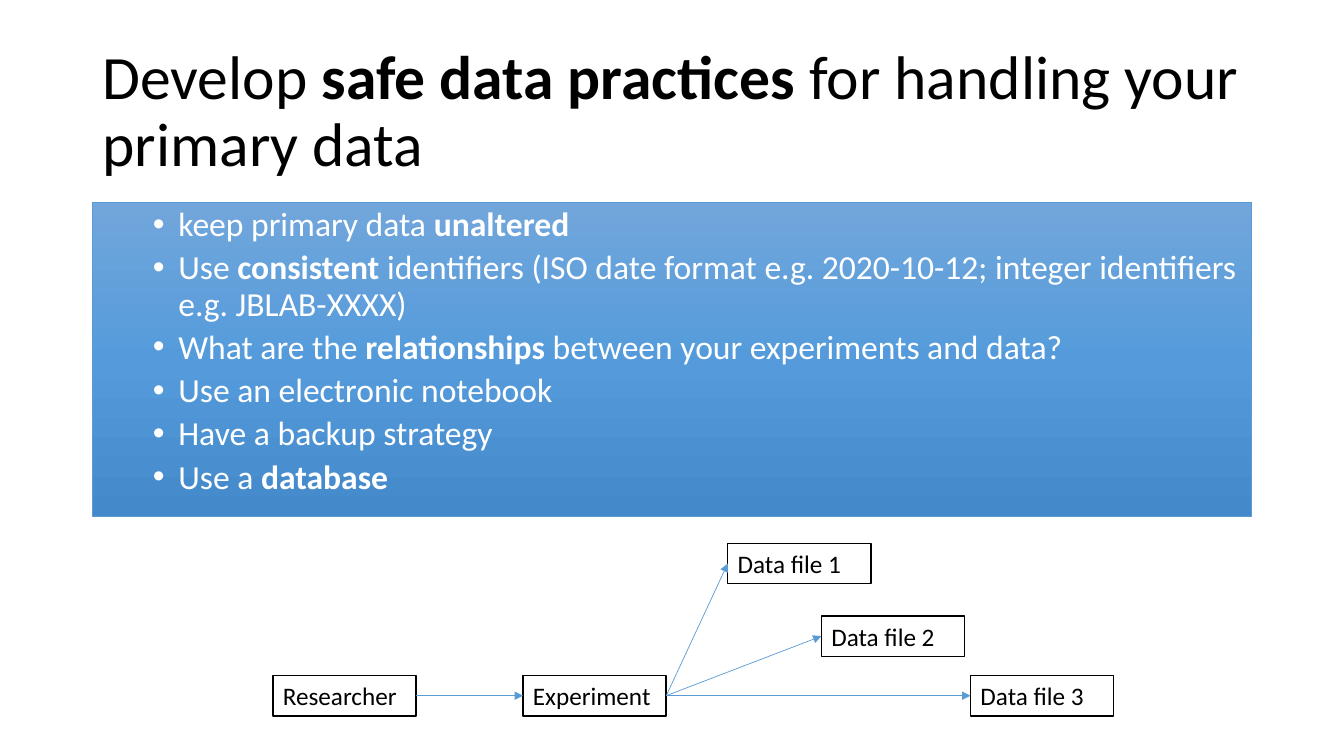
from copy import deepcopy

from lxml.etree import SubElement
from pptx import Presentation
from pptx.dml.color import RGBColor
from pptx.enum.shapes import MSO_CONNECTOR as Link, MSO_SHAPE as Preset
from pptx.enum.text import MSO_ANCHOR as Anchor, MSO_AUTO_SIZE as Fit, PP_ALIGN as Align
from pptx.oxml.ns import qn
from pptx.util import Cm, Pt

FONT = "Calibri"
BLACK, WHITE, BLUE = "000000", "FFFFFF", "5B9BD5"
GRADIENT = [(0, "71A6DB"), (0.5, "559BDB"), (1, "448ACA")]
RIGHT_SIDE, LEFT_SIDE = 3, 1

TITLE = [("Develop ", False), ("safe data practices ", True),
         ("for handling your primary data", False)]
PRACTICES = [
    [("keep primary data ", False), ("unaltered", True)],
    [("Use ", False), ("consistent", True),
     (" identifiers (ISO date format e.g. 2020-10-12; integer identifiers e.g. JBLAB-XXXX)", False)],
    [("What are the ", False), ("relationships", True),
     (" between your experiments and data?", False)],
    [("Use an electronic notebook", False)],
    [("Have a backup strategy", False)],
    [("Use a ", False), ("database", True)],
]
NODE_SIZE = (3.61, 1.02)
NODES = {
    "Researcher": (0, 3.33),
    "Experiment": (6.3, 3.33),
    "Data file 3": (17.58, 3.33),
    "Data file 2": (13.82, 1.83),
    "Data file 1": (11.46, 0),
}
ARROWS = [("Researcher", "Experiment"), ("Experiment", "Data file 1"),
          ("Experiment", "Data file 2"), ("Experiment", "Data file 3")]


def color(value):
    return RGBColor.from_string(value)


def place(shape, box):
    shape.left, shape.top, shape.width, shape.height = map(Cm, box)


def set_line(shape, value, width):
    shape.line.color.rgb = color(value)
    shape.line.width = Pt(width)


def add_spans(para, spans, size, value):
    for text, bold in spans:
        span = para.add_run()
        span.text = text
        span.font.name = FONT
        span.font.size = Pt(size)
        span.font.bold = bold
        span.font.color.rgb = color(value)


def fill_gradient(shape):
    shape.fill.gradient()
    shape.fill.gradient_angle = 270
    stop_list = shape.element.spPr.find(".//" + qn("a:gsLst"))
    stop_list.append(deepcopy(stop_list[-1]))
    for stop, (position, value) in zip(shape.fill.gradient_stops, GRADIENT):
        stop.position = position
        stop.color.rgb = color(value)


def set_bullet(para):
    props = para._p.get_or_add_pPr()
    props.set("marL", str(Cm(1.91)))
    props.set("indent", str(-Cm(0.64)))
    SubElement(props, qn("a:buFont"), typeface="Arial")
    SubElement(props, qn("a:buChar"), char="•")


def build_title(page, box):
    title = page.shapes.title
    place(title, box)
    frame = title.text_frame
    frame.auto_size = Fit.NONE
    frame.vertical_anchor = Anchor.MIDDLE
    para = frame.paragraphs[0]
    para.alignment = Align.LEFT
    para.line_spacing = 0.9
    add_spans(para, TITLE, 44, BLACK)


def build_practices(page, box):
    body = page.placeholders[1]
    place(body, box)
    fill_gradient(body)
    set_line(body, BLUE, 0.5)
    frame = body.text_frame
    frame.auto_size = Fit.NONE
    for index, spans in enumerate(PRACTICES):
        para = frame.add_paragraph() if index else frame.paragraphs[0]
        para.level = 1
        para.line_spacing = 0.9
        para.space_before = Pt(5)
        set_bullet(para)
        add_spans(para, spans, 24, WHITE)


def add_node(page, label, box):
    node = page.shapes.add_shape(Preset.RECTANGLE, *map(Cm, box))
    node.shadow.inherit = False
    node.fill.solid()
    node.fill.fore_color.rgb = color(WHITE)
    set_line(node, BLACK, 1)
    frame = node.text_frame
    frame.word_wrap = True
    frame.auto_size = Fit.SHAPE_TO_FIT_TEXT
    frame.vertical_anchor = Anchor.TOP
    para = frame.paragraphs[0]
    para.alignment = Align.LEFT
    add_spans(para, [(label, False)], 18, BLACK)
    return node


def add_arrow(page, source, target):
    arrow = page.shapes.add_connector(Link.STRAIGHT, 0, 0, 0, 0)
    arrow.begin_connect(source, RIGHT_SIDE)
    arrow.end_connect(target, LEFT_SIDE)
    set_line(arrow, BLUE, 0.5)
    props = arrow.element.spPr
    SubElement(props.find(qn("a:ln")), qn("a:tailEnd"), type="triangle")
    SubElement(props, qn("a:effectLst"))


def build_diagram(page, left, top):
    nodes = {label: add_node(page, label, (left + x, top + y, *NODE_SIZE))
             for label, (x, y) in NODES.items()}
    for source, target in ARROWS:
        add_arrow(page, nodes[source], nodes[target])


def main():
    deck = Presentation()
    deck.slide_width, deck.slide_height = Cm(33.87), Cm(19.05)
    page = deck.slides.add_slide(deck.slide_layouts[1])
    build_title(page, (2.33, 1.01, 29.21, 3.68))
    build_practices(page, (2.33, 5.1, 29.21, 7.9))
    build_diagram(page, 6.88, 13.69)
    deck.save("out.pptx")


if __name__ == "__main__":
    main()
